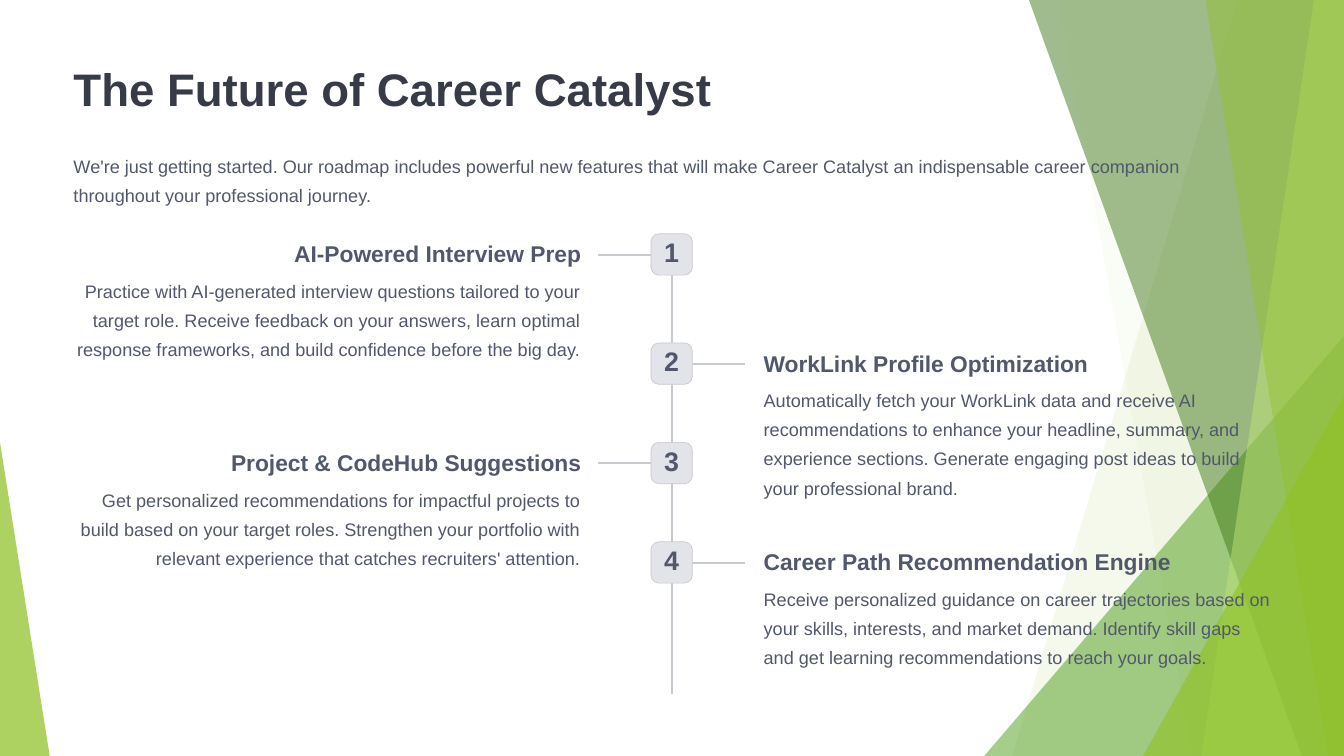
"""Build the roadmap slide: faceted backdrop, heading and a four-step timeline."""
from dataclasses import dataclass

from lxml import etree
from pptx import Presentation
from pptx import util as u
from pptx.dml.color import RGBColor
from pptx.enum import shapes, text
from pptx.oxml.ns import qn
from pptx.slide import Slide

WIDTH, HEIGHT = 1920, 1080
LIME = RGBColor(0x90, 0xC2, 0x26)
PALE_LIME = RGBColor(0xC0, 0xE4, 0x74)
GREEN = RGBColor(0x54, 0xA0, 0x21)
FOREST = RGBColor(0x3F, 0x78, 0x19)
INK = RGBColor(0x37, 0x3B, 0x48)
SLATE = RGBColor(0x52, 0x58, 0x6B)
RULE = RGBColor(0xC8, 0xCA, 0xCF)
BADGE = RGBColor(0xE2, 0xE4, 0xE9)

LEFT, RIGHT = text.PP_ALIGN.LEFT, text.PP_ALIGN.RIGHT


def px(length):
    return u.Emu(length * 9525)


@dataclass
class Deck:
    slide: Slide
    font: str = "Arial"

    def style(self, frame, words, size, leading, color, bold, align):
        frame.margin_left = frame.margin_right = 0
        frame.margin_top = frame.margin_bottom = 0
        frame.word_wrap = True
        frame.text = words
        paragraph = frame.paragraphs[0]
        paragraph.alignment = align
        paragraph.line_spacing = u.Pt(leading)
        font = paragraph.runs[0].font
        font.name, font.size, font.bold = self.font, u.Pt(size), bold
        font.color.rgb = color

    def label(self, box, words, size=19.4, leading=31.2, color=SLATE, bold=False, align=LEFT):
        frame = self.slide.shapes.add_textbox(*map(px, box)).text_frame
        self.style(frame, words, size, leading, color, bold, align)

    def facet(self, corners, color, opacity):
        builder = self.slide.shapes.build_freeform(*corners[0], scale=px(1))
        builder.add_line_segments(corners[1:], close=True)
        facet = builder.convert_to_shape()
        facet.shadow.inherit = False
        facet.fill.solid()
        facet.fill.fore_color.rgb = color
        facet.line.fill.background()
        tint = facet.element.spPr.find(".//" + qn("a:srgbClr"))
        etree.SubElement(tint, qn("a:alpha"), val=str(opacity * 1000))

    def rule(self, x1, y1, x2, y2):
        rule = self.slide.shapes.add_connector(
            shapes.MSO_CONNECTOR.STRAIGHT, px(x1), px(y1), px(x2), px(y2))
        rule.line.color.rgb = RULE
        rule.line.width = u.Pt(2.25)
        etree.SubElement(rule.element.spPr, qn("a:effectLst"))

    def badge(self, x, y, side, number):
        badge = self.slide.shapes.add_shape(
            shapes.MSO_SHAPE.ROUNDED_RECTANGLE, px(x), px(y), px(side), px(side))
        badge.adjustments[0] = 0.19
        badge.shadow.inherit = False
        badge.fill.solid()
        badge.fill.fore_color.rgb = BADGE
        badge.line.color.rgb = RULE
        badge.line.width = u.Pt(0.75)
        badge.text_frame.vertical_anchor = text.MSO_ANCHOR.MIDDLE
        self.style(badge.text_frame, str(number), 28.7, 28.7, SLATE, True, text.PP_ALIGN.CENTER)


def shard(top, bottom):
    return [(top, 0), (WIDTH, 0), (WIDTH, HEIGHT), (bottom, HEIGHT)]


def wedge(bottom, height, side=WIDTH):
    return [(bottom, HEIGHT), (side, height), (side, HEIGHT)]


FACETS = [
    (shard(1768, 1446), LIME, 9),
    (shard(1512, 1703), LIME, 4),
    (wedge(1406, 480), GREEN, 52),
    (shard(1470, 1860), FOREST, 49),
    (shard(1877, 1716), PALE_LIME, 49),
    (shard(1722, 1897), LIME, 42),
    (wedge(1633, 565), LIME, 64),
    (wedge(71, 632, side=0), LIME, 72),
]

STEPS = [
    (334, "AI-Powered Interview Prep",
     "Practice with AI-generated interview questions tailored to your target role. Receive "
     "feedback on your answers, learn optimal response frameworks, and build confidence "
     "before the big day."),
    (490, "WorkLink Profile Optimization",
     "Automatically fetch your WorkLink data and receive AI recommendations to enhance your "
     "headline, summary, and experience sections. Generate engaging post ideas to build your "
     "professional brand."),
    (632, "Project & CodeHub Suggestions",
     "Get personalized recommendations for impactful projects to build based on your target "
     "roles. Strengthen your portfolio with relevant experience that catches recruiters' "
     "attention."),
    (774, "Career Path Recommendation Engine",
     "Receive personalized guidance on career trajectories based on your skills, interests, "
     "and market demand. Identify skill gaps and get learning recommendations to reach your "
     "goals."),
]


def main():
    presentation = Presentation()
    presentation.slide_width, presentation.slide_height = px(WIDTH), px(HEIGHT)
    deck = Deck(presentation.slides.add_slide(presentation.slide_layouts[6]))

    for corners, color, opacity in FACETS:
        deck.facet(corners, color, opacity)

    deck.label((105, 84, 925, 85), "The Future of Career Catalyst", 48.8, 60.6, INK, True)
    deck.label((105, 211, 1712, 93),
               "We're just getting started. Our roadmap includes powerful new features that will "
               "make Career Catalyst an indispensable career companion throughout your "
               "professional journey.")

    spine = WIDTH // 2
    deck.rule(spine, 334, spine, 992)
    for number, (top, heading, detail) in enumerate(STEPS, 1):
        on_left = number % 2 == 1
        side, column, align = (-1, 105, RIGHT) if on_left else (1, 1091, LEFT)
        deck.rule(spine + side * 26, top + 30, spine + side * 105, top + 30)
        deck.badge(spine - 30, top, 59, number)
        deck.label((column, top + 8, 725, 41), heading, 24.4, 30, bold=True, align=align)
        deck.label((column, top + 56, 725, 135), detail, align=align)

    presentation.save("out.pptx")


if __name__ == "__main__":
    main()
